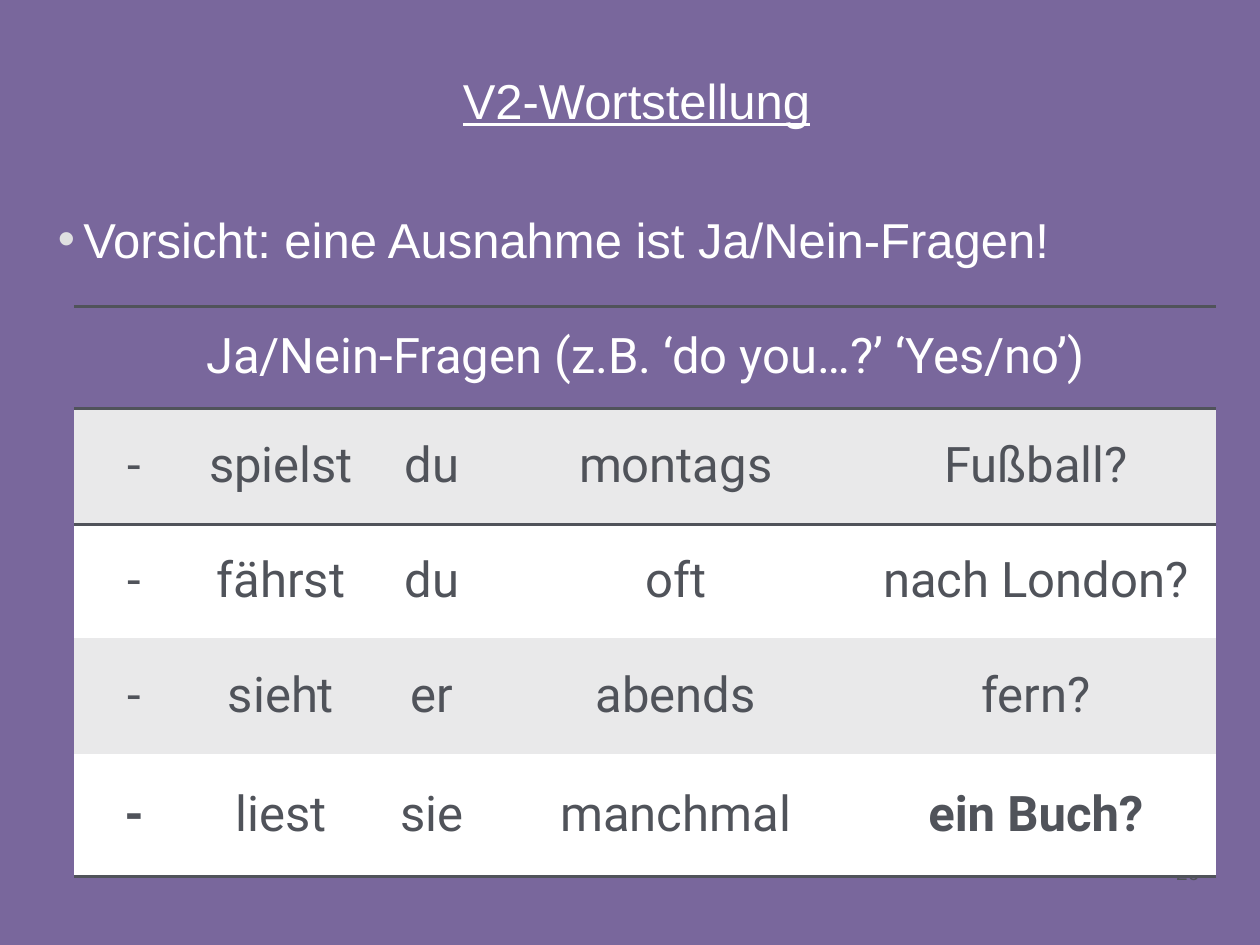
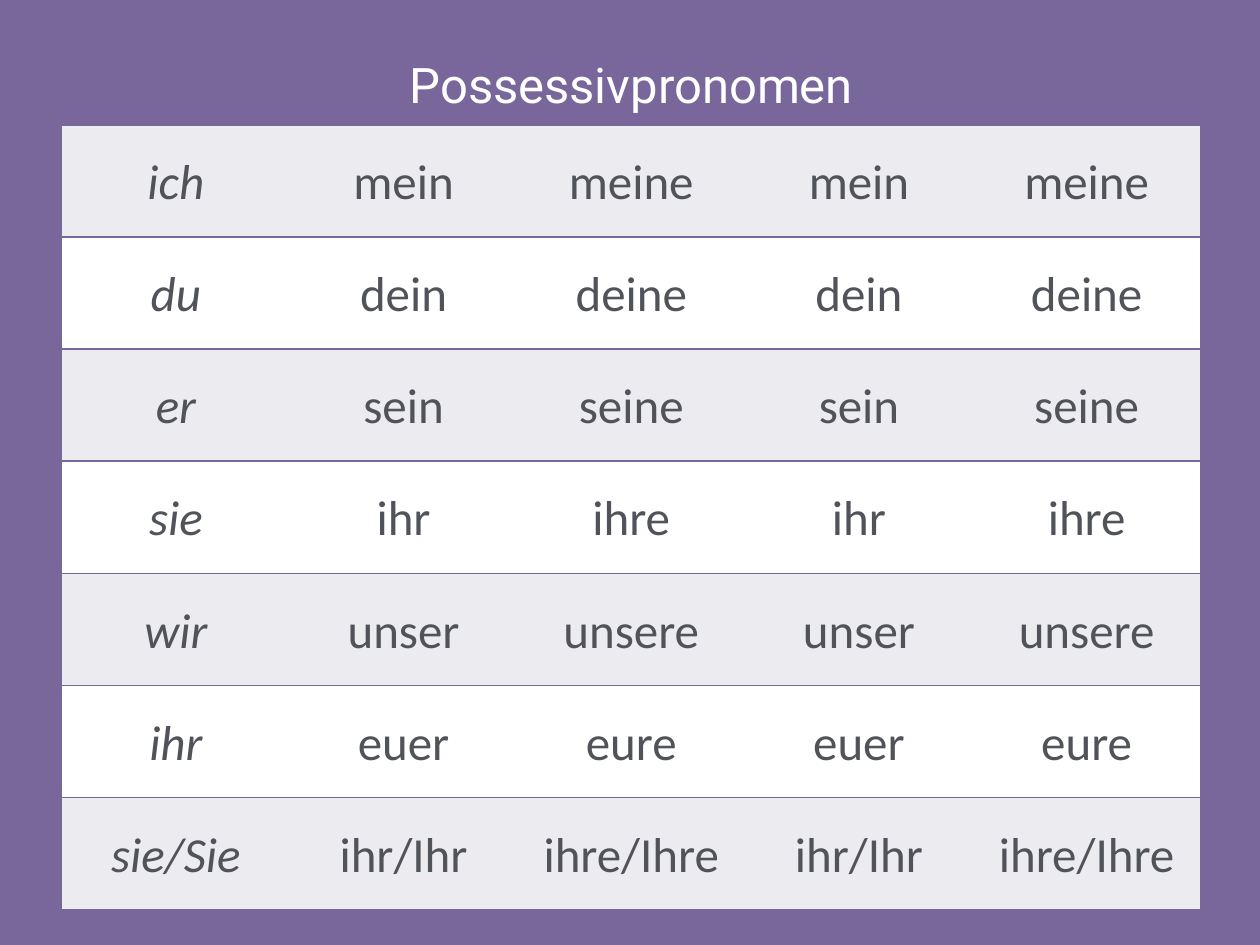
from dataclasses import dataclass

from lxml.etree import SubElement
from pptx import Presentation
from pptx.dml.color import RGBColor
from pptx.enum.text import MSO_ANCHOR, MSO_AUTO_SIZE, PP_ALIGN
from pptx.oxml.ns import qn
from pptx.util import Cm, Pt


@dataclass(frozen=True)
class Theme:
    """Colours, fonts and type sizes of the deck."""
    purple: str = "79679C"
    dark: str = "50535A"
    white: str = "FFFFFF"
    grey: str = "E9E9EA"
    lilac: str = "ECEBEF"
    dot: str = "E0E0E1"
    plain: str = "Arial"
    head: str = "Roboto"
    body: str = "Calibri"
    large: int = 28
    small: int = 12


THEME = Theme()
NO_GRID = "{2D5ABB26-0587-4C30-8999-92F81FD0307C}"

ORDER = [
    ["Ja/Nein-Fragen (z.B. ‘do you…?’ ‘Yes/no’)"],
    ["-", "spielst", "du", "montags", "Fußball?"],
    ["-", "fährst", "du", "oft", "nach London?"],
    ["-", "sieht", "er", "abends", "fern?"],
    ["-", "liest", "sie", "manchmal", "ein Buch?"],
]
FORMS = [
    ("ich", "mein", "meine"),
    ("du", "dein", "deine"),
    ("er", "sein", "seine"),
    ("sie", "ihr", "ihre"),
    ("wir", "unser", "unsere"),
    ("ihr", "euer", "eure"),
    ("sie/Sie", "ihr/Ihr", "ihre/Ihre"),
]


def style(para, face, color, size=THEME.large, align=PP_ALIGN.CENTER):
    """Format a paragraph and its font."""
    para.alignment = align
    font = para.font if not para.runs else para.runs[0].font
    font.name, font.size = face, Pt(size)
    font.color.rgb = RGBColor.from_string(color)
    return font


def set_frame(shape, text):
    """Fill a shape with wrapped text that has no margins."""
    frame = shape.text_frame
    frame.text = text
    frame.word_wrap = True
    frame.auto_size = MSO_AUTO_SIZE.NONE
    frame.vertical_anchor = MSO_ANCHOR.TOP
    frame.margin_left = frame.margin_right = 0
    frame.margin_top = frame.margin_bottom = 0
    return frame.paragraphs[0]


def add_text(slide, text, left, top, width, height):
    """Add a text box and return its paragraph."""
    box = slide.shapes.add_textbox(Cm(left), Cm(top), Cm(width), Cm(height))
    return set_frame(box, text)


def set_title(slide, text):
    """Place the underlined title."""
    title = slide.shapes.title
    title.left, title.top = Cm(1.17), Cm(1.42)
    title.width, title.height = Cm(23.32), Cm(1.3)
    para = set_frame(title, text)
    para.line_spacing = 1.0
    style(para, THEME.plain, THEME.white).underline = True


def add_point(slide, text):
    """Add a line of text with a bullet."""
    para = add_text(slide, text, 1.17, 4.22, 23.32, 1.3)
    props = para._p.get_or_add_pPr()
    props.set("marL", str(Cm(0.51)))
    props.set("indent", str(-Cm(0.51)))
    tint = SubElement(props, qn("a:buClr"))
    SubElement(tint, qn("a:srgbClr"), val=THEME.dot)
    SubElement(props, qn("a:buFont"), typeface=THEME.plain)
    SubElement(props, qn("a:buChar"), char="•")
    style(para, THEME.plain, THEME.white, align=PP_ALIGN.LEFT)


def add_page(slide, number):
    """Add the page number at the lower right."""
    para = add_text(slide, number, 22.3, 17.32, 1.88, 0.71)
    style(para, THEME.plain, THEME.dark, THEME.small, PP_ALIGN.RIGHT)


def rule(cell, sides, color, width):
    """Draw lines on the given sides of a cell, before it is filled."""
    props = cell._tc.get_or_add_tcPr()
    for side in sides:
        line = SubElement(props, qn(f"a:ln{side}"), w=str(Pt(width)))
        fill = SubElement(line, qn("a:solidFill"))
        SubElement(fill, qn("a:srgbClr"), val=color)


def paint(cell, color):
    """Fill a cell with one colour."""
    cell.fill.solid()
    cell.fill.fore_color.rgb = RGBColor.from_string(color)


def add_grid(slide, rows, left, top, widths, heights, face, band, lines):
    """Add a banded table whose first row is one merged heading."""
    frame = slide.shapes.add_table(
        len(rows), len(widths), Cm(left), Cm(top),
        Cm(sum(widths)), Cm(sum(heights)))
    frame.element.xpath(".//a:tableStyleId")[0].text = NO_GRID
    table = frame.table
    table.first_row = table.horz_banding = False
    for col, width in zip(table.columns, widths):
        col.width = Cm(width)
    for row, height in zip(table.rows, heights):
        row.height = Cm(height)
    table.cell(0, 0).merge(table.cell(0, len(widths) - 1))
    for r, texts in enumerate(rows):
        back = THEME.purple if r == 0 else band if r % 2 else THEME.white
        for c in range(len(widths)):
            cell = table.cell(r, c)
            rule(cell, lines["sides"].get(r, ""), lines["color"], lines["width"])
            paint(cell, back)
            cell.vertical_anchor = MSO_ANCHOR.MIDDLE
            if c < len(texts):
                para = cell.text_frame.paragraphs[0]
                para.text = texts[c]
                style(para, THEME.head if r == 0 else face,
                      THEME.white if r == 0 else THEME.dark)
    return table


def build_order(deck):
    """Build the slide on word order in questions."""
    slide = deck.slides.add_slide(deck.slide_layouts[5])
    set_title(slide, "V2-Wortstellung")
    add_point(slide, "Vorsicht: eine Ausnahme ist Ja/Nein-Fragen!")
    add_page(slide, "26")
    last = len(ORDER) - 1
    lines = {"color": THEME.dark, "width": 2,
             "sides": {0: "TB", 1: "T", last: "B"}}
    table = add_grid(slide, ORDER, 1.5, 6.17, [2.41, 3.51, 2.57, 7.26, 7.26],
                     [2.06, 2.34, 2.29, 2.34, 2.46], THEME.head, THEME.grey, lines)
    for c in (0, 4):
        table.cell(last, c).text_frame.paragraphs[0].runs[0].font.bold = True


def build_forms(deck):
    """Build the slide on possessive pronouns."""
    slide = deck.slides.add_slide(deck.slide_layouts[6])
    rows = [["Possessivpronomen"]]
    rows += [[who, base, long, base, long] for who, base, long in FORMS]
    lines = {"color": THEME.purple, "width": 1,
             "sides": {r: "TB" for r in range(len(rows))}}
    table = add_grid(slide, rows, 1.25, 0.92, [4.59] * 5,
                     [1.6] + [2.26] * len(FORMS), THEME.body, THEME.lilac, lines)
    for cell in table.iter_cells():
        cell.margin_left = cell.margin_right = Cm(0.18)
        cell.margin_top = cell.margin_bottom = 0
        cell.text_frame.paragraphs[0].line_spacing = 1.07
    for r in range(1, len(rows)):
        table.cell(r, 0).text_frame.paragraphs[0].runs[0].font.italic = True


def main():
    """Build and save the deck."""
    deck = Presentation()
    deck.slide_width, deck.slide_height = Cm(25.4), Cm(19.05)
    fill = deck.slide_master.background.fill
    fill.solid()
    fill.fore_color.rgb = RGBColor.from_string(THEME.purple)
    build_order(deck)
    build_forms(deck)
    deck.save("out.pptx")


if __name__ == "__main__":
    main()
